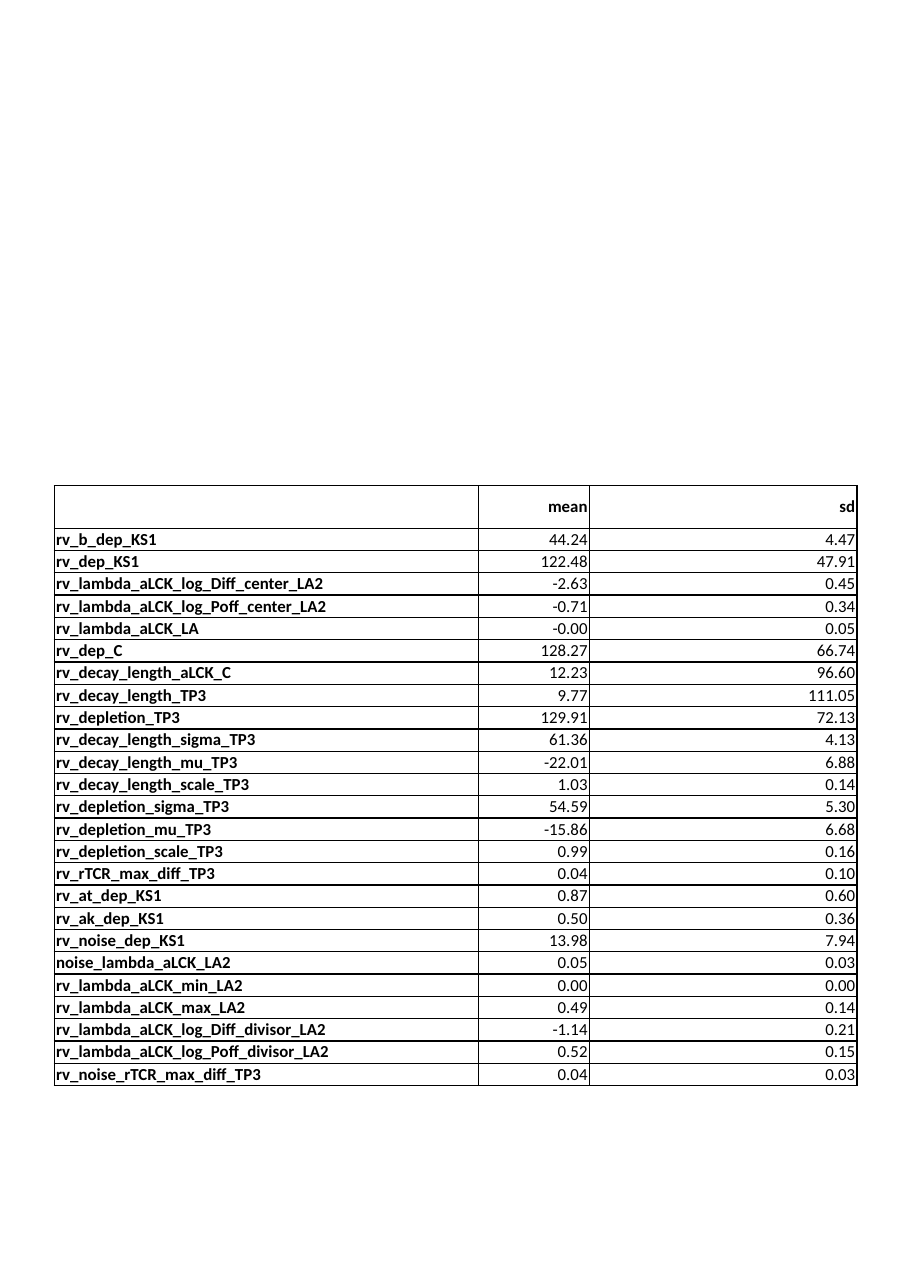
"""Build a slide with a table of posterior means and standard deviations."""
from lxml.etree import SubElement
from pptx import Presentation
from pptx.dml.color import RGBColor
from pptx.enum.text import MSO_ANCHOR, PP_ALIGN
from pptx.oxml.ns import qn
from pptx.util import Pt

COLORS = {"text": "000000", "border": "000000", "fill": "FFFFFF"}
COLUMN_WIDTHS = (277.2, 72.6, 174.9)
HEADER_HEIGHT = 27.8
ROW_HEIGHT = 14.47
HEADER = ("", "mean", "sd")
PARAMETERS = [
    ("rv_b_dep_KS1", "44.24", "4.47"),
    ("rv_dep_KS1", "122.48", "47.91"),
    ("rv_lambda_aLCK_log_Diff_center_LA2", "-2.63", "0.45"),
    ("rv_lambda_aLCK_log_Poff_center_LA2", "-0.71", "0.34"),
    ("rv_lambda_aLCK_LA", "-0.00", "0.05"),
    ("rv_dep_C", "128.27", "66.74"),
    ("rv_decay_length_aLCK_C", "12.23", "96.60"),
    ("rv_decay_length_TP3", "9.77", "111.05"),
    ("rv_depletion_TP3", "129.91", "72.13"),
    ("rv_decay_length_sigma_TP3", "61.36", "4.13"),
    ("rv_decay_length_mu_TP3", "-22.01", "6.88"),
    ("rv_decay_length_scale_TP3", "1.03", "0.14"),
    ("rv_depletion_sigma_TP3", "54.59", "5.30"),
    ("rv_depletion_mu_TP3", "-15.86", "6.68"),
    ("rv_depletion_scale_TP3", "0.99", "0.16"),
    ("rv_rTCR_max_diff_TP3", "0.04", "0.10"),
    ("rv_at_dep_KS1", "0.87", "0.60"),
    ("rv_ak_dep_KS1", "0.50", "0.36"),
    ("rv_noise_dep_KS1", "13.98", "7.94"),
    ("noise_lambda_aLCK_LA2", "0.05", "0.03"),
    ("rv_lambda_aLCK_min_LA2", "0.00", "0.00"),
    ("rv_lambda_aLCK_max_LA2", "0.49", "0.14"),
    ("rv_lambda_aLCK_log_Diff_divisor_LA2", "-1.14", "0.21"),
    ("rv_lambda_aLCK_log_Poff_divisor_LA2", "0.52", "0.15"),
    ("rv_noise_rTCR_max_diff_TP3", "0.04", "0.03"),
]


class SlideBuilder:
    """Hold the slide and its style, and add elements to it."""

    def __init__(self, slide, font="Calibri", size=11):
        self.slide = slide
        self.font = font
        self.size = size

    def add_table(self, left, top, widths, heights, rows):
        frame = self.slide.shapes.add_table(
            len(rows), len(widths), Pt(left), Pt(top), Pt(sum(widths)), Pt(sum(heights)))
        table = frame.table
        table.first_row = table.horz_banding = False
        for column, width in zip(table.columns, widths):
            column.width = Pt(width)
        for row, height in zip(table.rows, heights):
            row.height = Pt(height)
        for row_index, texts in enumerate(rows):
            for column_index, text in enumerate(texts):
                is_label = column_index == 0
                self.format_cell(table.cell(row_index, column_index), text,
                                 bold=is_label or row_index == 0,
                                 align=PP_ALIGN.LEFT if is_label else PP_ALIGN.RIGHT)

    def format_cell(self, cell, text, bold, align):
        cell.margin_left = cell.margin_right = Pt(1.2)
        cell.margin_top = cell.margin_bottom = Pt(0.5)
        cell.vertical_anchor = MSO_ANCHOR.MIDDLE
        self.add_borders(cell)
        cell.fill.solid()
        cell.fill.fore_color.rgb = RGBColor.from_string(COLORS["fill"])
        if text:
            paragraph = cell.text_frame.paragraphs[0]
            paragraph.alignment = align
            self.add_run(paragraph, text, bold)

    def add_borders(self, cell, width=1):
        properties = cell._tc.get_or_add_tcPr()
        for side in ("lnL", "lnR", "lnT", "lnB"):
            line = SubElement(properties, qn(f"a:{side}"), w=str(Pt(width)))
            fill = SubElement(line, qn("a:solidFill"))
            SubElement(fill, qn("a:srgbClr"), val=COLORS["border"])

    def add_run(self, paragraph, text, bold):
        run = paragraph.add_run()
        run.text = text
        run.font.name = self.font
        run.font.size = Pt(self.size)
        run.font.bold = bold
        run.font.color.rgb = RGBColor.from_string(COLORS["text"])


presentation = Presentation()
presentation.slide_width = Pt(595.44)
presentation.slide_height = Pt(841.68)
builder = SlideBuilder(presentation.slides.add_slide(presentation.slide_layouts[6]))
builder.add_table(35.5, 317.4, COLUMN_WIDTHS,
                  [HEADER_HEIGHT] + [ROW_HEIGHT] * len(PARAMETERS),
                  [HEADER] + PARAMETERS)
presentation.save("out.pptx")
